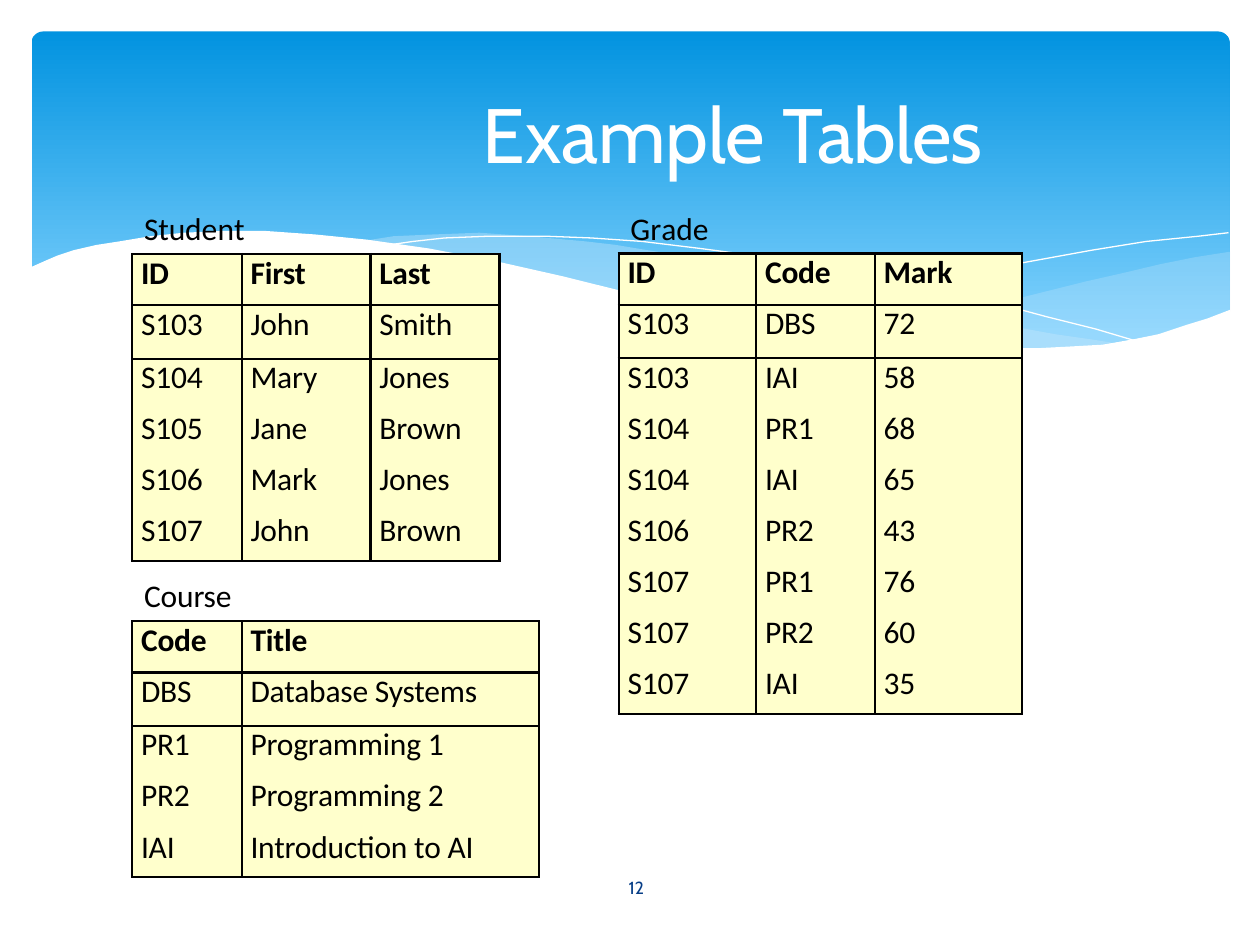
"""Build a slide with three example database tables over a wavy blue banner."""
from dataclasses import dataclass, field

from pptx import Presentation
from pptx.dml.color import RGBColor as RGB
from pptx.enum.shapes import MSO_SHAPE as SHAPE
from pptx.enum.text import MSO_ANCHOR as ANCHOR, PP_ALIGN as ALIGN
from pptx.oxml.ns import qn
from pptx.slide import Slide
from pptx.util import Pt
from lxml.etree import SubElement

COLORS = {"top": "0293E0", "bottom": "83D3FE", "wave": "C6E7FC", "white": "FFFFFF",
          "black": "000000", "number": "073E87", "cell": "FFFFCC"}

RIGHT_WAVE = [
    (702, 144), (682.6, 146.9), (663.1, 151.2), (641.5, 155.5), (619.9, 160.6),
    (579.6, 170.6), (542.2, 178.6), (508.3, 185), (475.9, 190.8), (497.5, 193.7),
    (517.7, 195.8), (536.4, 198), (562.3, 199.4), (586.1, 200.2), (607.7, 199.4),
    (627.8, 197.3), (645.8, 194.4), (663.1, 190.8), (678.2, 186.5), (693.4, 181.4),
    (702.7, 177.8), (702.7, 144)]
MIDDLE_WAVE = [
    (643, 196.6), (623.5, 193.7), (602.6, 190.8), (581, 187.2), (558, 182.9),
    (533.5, 177.8), (508.3, 172.8), (481, 166.3), (452.9, 159.8), (430.6, 154.1),
    (409.7, 149.8), (389.5, 146.2), (370.1, 142.6), (352.1, 139.7), (334.8, 137.5),
    (302.4, 134.6), (273.6, 133.2), (247.7, 133.9), (225.4, 135.4), (205.9, 137.5),
    (232.6, 141.1), (260.6, 146.2), (290.9, 151.9), (323.3, 159.8), (353.5, 167),
    (381.6, 172.8), (407.5, 178.6), (432.7, 183.6), (456.5, 187.9), (478.8, 191.5),
    (500.4, 194.4), (529.9, 198), (556.6, 199.4), (581, 200.2), (603.4, 200.2),
    (624.2, 198.7)]
LONG_CURVE = [
    (222.5, 140.4), (236.2, 138.2), (254.2, 136.1), (278.6, 134.6), (311.8, 134.6),
    (337.7, 136.1), (367.2, 138.2), (400.3, 141.8), (437.8, 146.9), (478.8, 153.4),
    (523.4, 162.7), (572.4, 173.5), (598.3, 180.7), (625.7, 187.9), (653, 195.8)]
SHORT_CURVE = [
    (441.4, 185), (470.2, 177.1), (500.4, 169.2), (538.6, 160.6), (580.3, 151.2),
    (623.5, 143.3), (655.2, 138.2), (684.7, 134.6), (702, 133.2)]
WHITE_WAVE = [
    (703.4, 177.1), (690.5, 182.2), (676.8, 186.5), (662.4, 190.8), (647.3, 193.7),
    (630, 196.6), (612, 198), (592.6, 199.4), (571, 198.7), (547.9, 198),
    (522.7, 195.8), (495.4, 193), (466.6, 188.6), (434.2, 182.9), (399.6, 176.4),
    (362.2, 167.8), (321.8, 158.4), (281.5, 149), (244.8, 141.8), (210.2, 136.8),
    (180, 133.9), (151.9, 132.5), (127.4, 132.5), (105.1, 133.2), (85.7, 134.6),
    (68.4, 137.5), (54.7, 140.4), (42.5, 143.3), (33.1, 146.2), (25.9, 149),
    (16.6, 153.4), (16.6, 236.9), (703.4, 236.9)]

STUDENTS = [("ID", "First", "Last"), ("S103", "John", "Smith"), ("S104", "Mary", "Jones"),
            ("S105", "Jane", "Brown"), ("S106", "Mark", "Jones"), ("S107", "John", "Brown")]
COURSES = [("Code", "Title"), ("DBS", "Database Systems"), ("PR1", "Programming 1"),
           ("PR2", "Programming 2"), ("IAI", "Introduction to AI")]
GRADES = [("ID", "Code", "Mark"), ("S103", "DBS", "72"), ("S103", "IAI", "58"),
          ("S104", "PR1", "68"), ("S104", "IAI", "65"), ("S106", "PR2", "43"),
          ("S107", "PR1", "76"), ("S107", "PR2", "60"), ("S107", "IAI", "35")]


def color(name):
    """Return the named colour."""
    return RGB.from_string(COLORS[name])


@dataclass
class TableSlide:
    """Hold the style and the current slide, and add its elements."""
    slide: Slide
    body_font: str = "Calibri"
    title_font: str = "Cabin"
    body_size: float = 18
    border_width: float = 1.5
    row_heights: dict = field(default_factory=lambda: {
        "header": 29.2, "first": 30.6, "other": 29.2, "last": 28})

    def banner(self, left, top, width, height):
        """Add the rounded gradient banner."""
        shape = self.slide.shapes.add_shape(
            SHAPE.ROUNDED_RECTANGLE, Pt(left), Pt(top), Pt(width), Pt(height))
        shape.adjustments[0] = 0.034
        shape.shadow.inherit = False
        shape.line.fill.background()
        shape.fill.gradient()
        shape.fill.gradient_angle = 270
        for stop, name, position in zip(shape.fill.gradient_stops, ("top", "bottom"), (0, 0.9)):
            stop.color.rgb = color(name)
            stop.position = position

    def outline(self, points, closed):
        """Add a freeform without shadow through the points."""
        builder = self.slide.shapes.build_freeform(*points[0], scale=Pt(1))
        builder.add_line_segments(points[1:], close=closed)
        shape = builder.convert_to_shape()
        shape.shadow.inherit = False
        return shape

    def wave(self, points, name, opacity=100):
        """Add a filled wave."""
        shape = self.outline(points, True)
        shape.line.fill.background()
        shape.fill.solid()
        shape.fill.fore_color.rgb = color(name)
        if opacity < 100:
            fill = shape.element.spPr.find(qn("a:solidFill"))
            SubElement(fill[0], qn("a:alpha"), val=str(opacity * 1000))

    def curve(self, points):
        """Add a white hairline curve."""
        shape = self.outline(points, False)
        shape.fill.background()
        shape.line.color.rgb = color("white")
        shape.line.width = Pt(0)

    def add_text(self, frame, runs, font, size, name, indent=0, align=ALIGN.LEFT, bold=False):
        """Put (text, letter spacing) runs into the first paragraph of a frame."""
        paragraph = frame.paragraphs[0]
        paragraph.alignment = align
        paragraph._p.get_or_add_pPr().set("marL", str(Pt(indent)))
        for text, spacing in runs:
            run = paragraph.add_run()
            run.text = text
            run.font.name, run.font.size, run.font.bold = font, Pt(size), bold
            run.font.color.rgb = color(name)
            run._r.get_or_add_rPr().set("spc", str(round(spacing * 100)))
        return paragraph

    def place(self, shape, left, top, width, height, anchor=ANCHOR.TOP):
        """Place a text shape, without margins."""
        shape.left, shape.top, shape.width, shape.height = map(Pt, (left, top, width, height))
        frame = shape.text_frame
        frame.margin_left = frame.margin_right = frame.margin_top = frame.margin_bottom = 0
        frame.word_wrap = True
        frame.vertical_anchor = anchor
        return frame

    def title(self, runs, *box):
        """Fill the title placeholder and bring it in front of the banner."""
        shape = self.slide.shapes.title
        shape.element.getparent().append(shape.element)
        frame = self.place(shape, *box, anchor=ANCHOR.MIDDLE)
        self.add_text(frame, runs, self.title_font, 44, "white", 117.4, ALIGN.CENTER)

    def number(self, text, *box):
        """Add the slide number."""
        frame = self.place(self.slide.shapes.add_textbox(0, 0, 0, 0), *box, anchor=ANCHOR.MIDDLE)
        paragraph = self.add_text(frame, [(text, 0)], self.title_font, 10, "number", 8,
                                  ALIGN.CENTER)
        paragraph.line_spacing = Pt(12.4)

    def label(self, runs, *box):
        """Add a table's name."""
        frame = self.place(self.slide.shapes.add_textbox(0, 0, 0, 0), *box)
        self.add_text(frame, runs, self.body_font, self.body_size, "black", 1)

    def borders(self, cell, horizontal):
        """Draw the side borders, and the (top, bottom) ones that are wanted."""
        properties = cell._tc.get_or_add_tcPr()
        for index, (tag, wanted) in enumerate(zip(("lnL", "lnR", "lnT", "lnB"),
                                                  (True, True, *horizontal))):
            line = properties.makeelement(qn("a:" + tag), {"w": str(Pt(self.border_width))})
            properties.insert(index, line)
            fill = SubElement(line, qn("a:solidFill" if wanted else "a:noFill"))
            if wanted:
                SubElement(fill, qn("a:srgbClr"), val=COLORS["black"])

    def table(self, rows, left, top, widths):
        """Add a table ruled around the header, the first row and the whole."""
        heights = [self.row_heights[kind] for kind in
                   ("header", "first", *["other"] * (len(rows) - 3), "last")]
        table = self.slide.shapes.add_table(len(rows), len(widths), Pt(left), Pt(top),
                                            Pt(sum(widths)), Pt(sum(heights))).table
        table.first_row = table.horz_banding = False
        for column, width in zip(table.columns, widths):
            column.width = Pt(width)
        for index, (values, height) in enumerate(zip(rows, heights)):
            table.rows[index].height = Pt(height)
            for cell, value in zip(table.rows[index].cells, values):
                cell.margin_left = cell.margin_right = cell.margin_top = cell.margin_bottom = 0
                cell.fill.solid()
                cell.fill.fore_color.rgb = color("cell")
                self.borders(cell, (index <= 2, index < 2 or index == len(rows) - 1))
                paragraph = self.add_text(cell.text_frame, [(value, -0.1)], self.body_font,
                                          self.body_size, "black", 5, bold=index == 0)
                paragraph.space_before = Pt(1.7 if index < 2 else 1.1)


def main():
    """Build and save the slide."""
    presentation = Presentation()
    presentation.slide_width, presentation.slide_height = Pt(720), Pt(540)
    page = TableSlide(presentation.slides.add_slide(presentation.slide_layouts[5]))
    page.banner(18, 18, 684.7, 194.4)
    page.wave(RIGHT_WAVE, "wave", 29)
    page.wave(MIDDLE_WAVE, "wave", 40)
    page.curve(LONG_CURVE)
    page.curve(SHORT_CURVE)
    page.wave(WHITE_WAVE, "white")
    page.number("12", 313.9, 492.5, 91.4, 28.8)
    page.title([("Example ", -0.1), ("Tables", -0.6)], 36, 26.6, 648, 98.6)
    page.label([("Stud", -0.1), ("e", 0.1), ("n", -0.1), ("t", 0)], 81.4, 119.5, 60, 23.8)
    page.table(STUDENTS, 75.6, 145.2, (62.6, 73.6, 73.6))
    page.label([("Course", -0.1)], 81.4, 329, 53, 23.8)
    page.table(COURSES, 75.6, 355, (62.6, 170))
    page.label([("G", 0), ("r", -0.4), ("ade", 0)], 359.3, 119.5, 47, 23.8)
    page.table(GRADES, 353.6, 144.9, (78.6, 67.8, 84.2))
    presentation.save("out.pptx")


if __name__ == "__main__":
    main()
